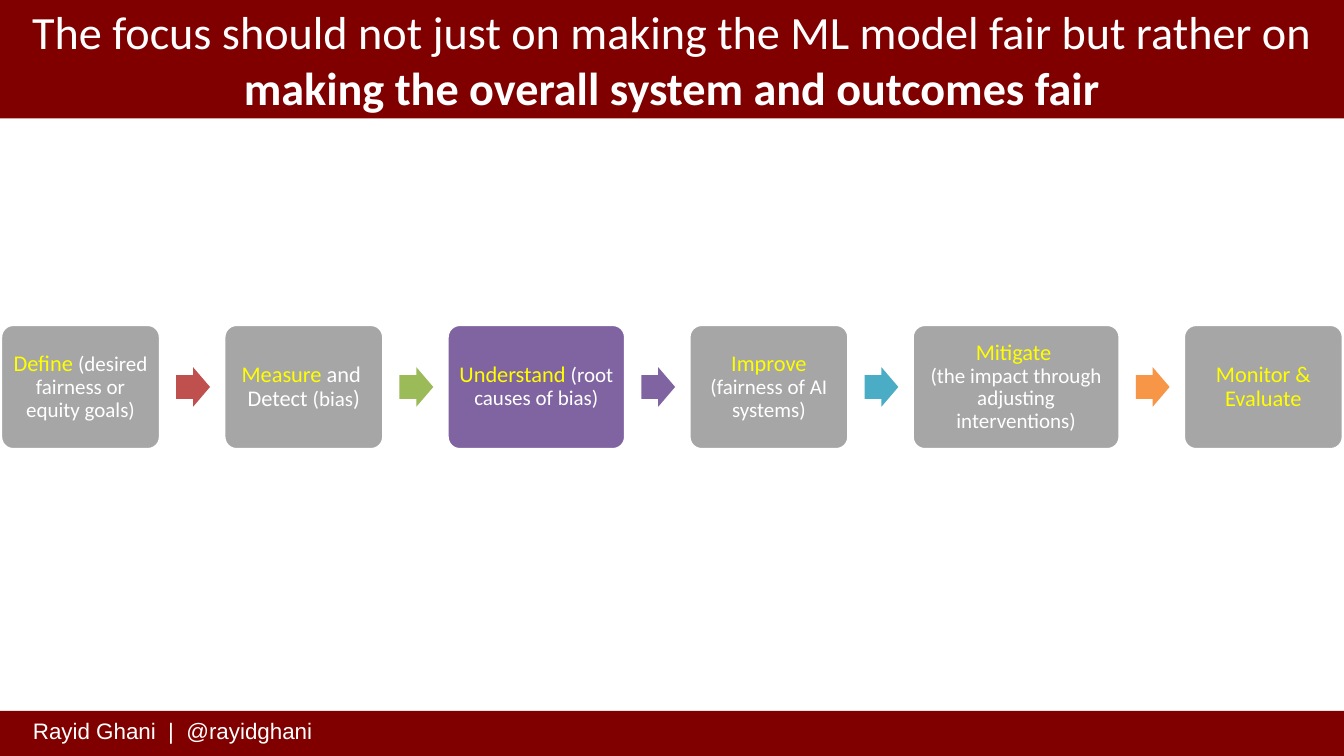
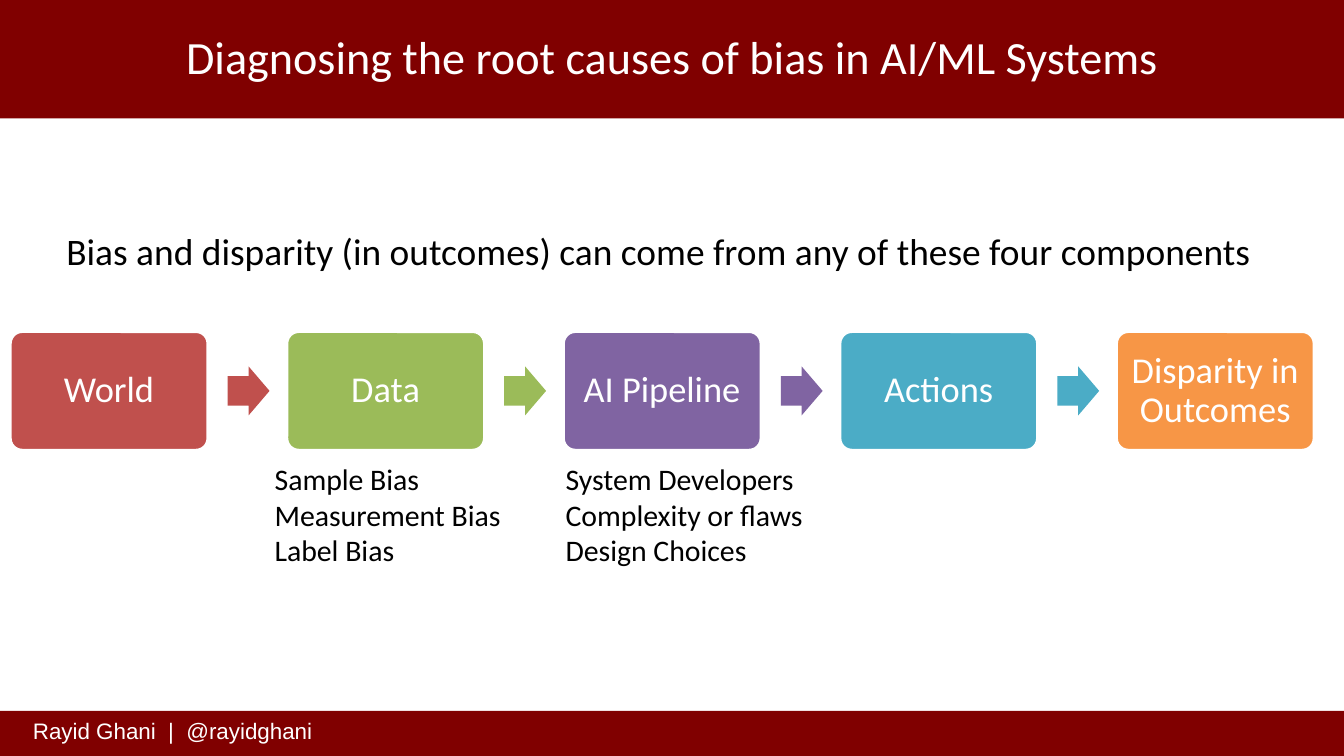
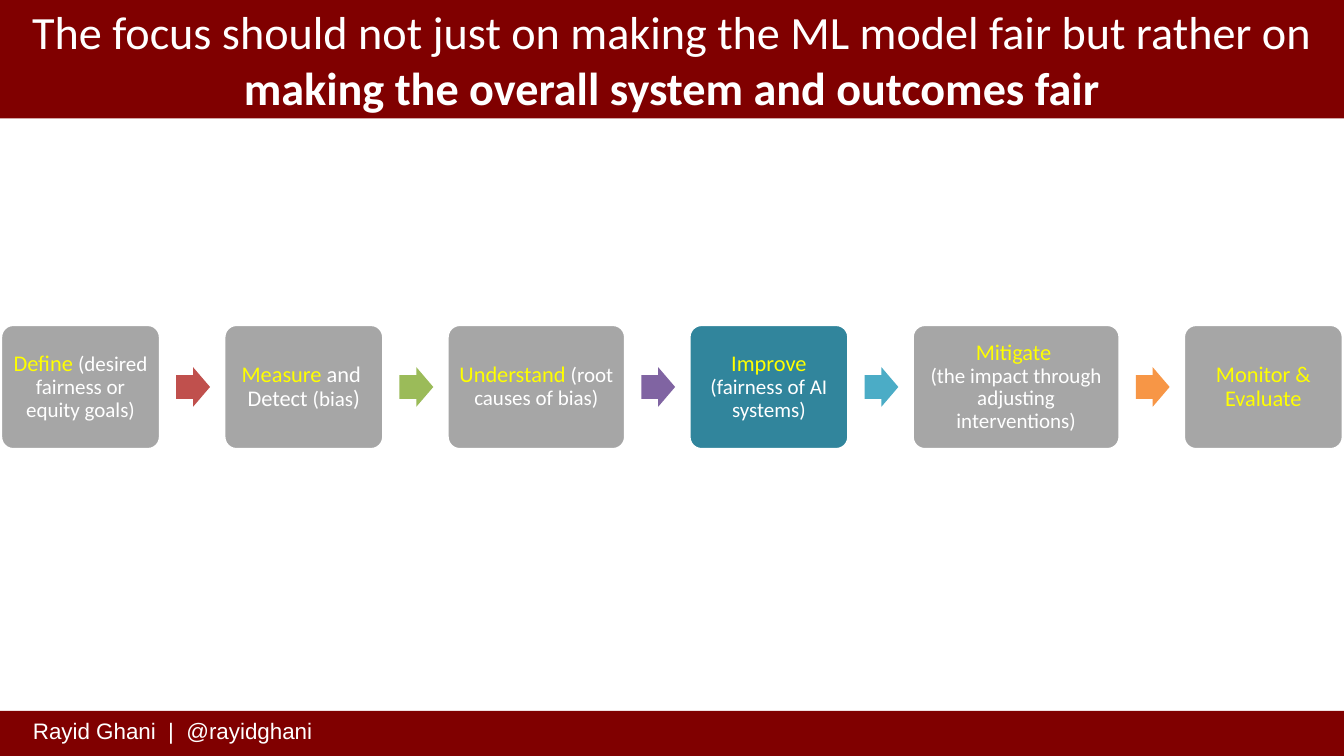
"""Build three slides on fairness in machine learning systems."""
from pptx import Presentation
from pptx.dml.color import RGBColor
from pptx.enum.shapes import MSO_SHAPE
from pptx.enum.text import MSO_ANCHOR, PP_ALIGN
from pptx.util import Pt

RECT, ROUNDED, ARROW = MSO_SHAPE.RECTANGLE, MSO_SHAPE.ROUNDED_RECTANGLE, MSO_SHAPE.RIGHT_ARROW
TOP, MIDDLE = MSO_ANCHOR.TOP, MSO_ANCHOR.MIDDLE
LEFT, CENTER = PP_ALIGN.LEFT, PP_ALIGN.CENTER

COLORS = {
    "maroon": "800000", "white": "FFFFFF", "black": "000000", "gray": "A6A6A6",
    "yellow": "FFFF00", "red": "C0504D", "green": "9BBB59", "purple": "8064A2",
    "aqua": "4BACC6", "orange": "F79646", "teal": "31859C",
}
SLIDE_WIDTH, SLIDE_HEIGHT = 960, 540
TITLE_HEIGHT, FOOTER_TOP = 84.5, 507.8
ACCENTS = ["red", "green", "purple", "aqua", "orange"]


def add_panel(slide, preset, x, y, width, height, fill, outline=None):
    panel = slide.shapes.add_shape(preset, Pt(x), Pt(y), Pt(width), Pt(height))
    panel.shadow.inherit = False
    panel.fill.solid()
    panel.fill.fore_color.rgb = RGBColor.from_string(COLORS[fill])
    if outline:
        panel.line.color.rgb = RGBColor.from_string(COLORS[outline])
        panel.line.width = Pt(2)
    else:
        panel.line.fill.background()
    return panel


def write(shape, paragraphs, size=16, font="Calibri", color="white", align=CENTER,
          anchor=MIDDLE, inset=None, spacing=1.0):
    frame = shape.text_frame
    frame.word_wrap = True
    frame.vertical_anchor = anchor
    if inset is not None:
        frame.margin_left = frame.margin_right = Pt(inset)
        frame.margin_top = frame.margin_bottom = Pt(inset)
    for index, runs in enumerate(paragraphs):
        paragraph = frame.add_paragraph() if index else frame.paragraphs[0]
        paragraph.alignment = align
        paragraph.line_spacing = spacing
        for text, style in runs:
            for line_index, line in enumerate(text.split("\n")):
                if line_index:
                    paragraph.add_line_break()
                if not line:
                    continue
                run = paragraph.add_run()
                run.text = line
                run.font.name = font
                run.font.size = Pt(style.get("size", size))
                run.font.bold = style.get("bold", False)
                run.font.color.rgb = RGBColor.from_string(COLORS[style.get("color", color)])


key, detail = {"color": "yellow"}, {"size": 15}
focus_title = [
    ("The focus should not just on making the ML model fair but rather on ", {}),
    ("making the overall system and outcomes fair", {"bold": True}),
]
fairness_steps = [
    (113.9, [("Define ", key), ("(desired fairness or equity goals)", detail)]),
    (113.9, [("Measure", key), (" and \nDetect ", {}), ("(bias", detail), (")", {})]),
    (127.2, [("Understand ", key), ("(root causes of bias)", detail)]),
    (113.9, [("Improve ", key), ("(fairness of AI systems)", detail)]),
    (148.2, [("Mitigate \n", key), ("(the impact through adjusting interventions)", detail)]),
    (113.9, [("Monitor & Evaluate", key)]),
]
bias_sources = [
    (141.1, [(name, {})])
    for name in ["World", "Data", "AI Pipeline", "Actions", "Disparity in Outcomes"]
]
fairness_chain = {"steps": fairness_steps, "left": 0.6, "top": 231.9, "height": 89.1, "size": 16}
bias_chain = {"steps": bias_sources, "left": 7.4, "top": 236.9, "height": 84.7, "size": 26}

bias_notes = [
    (397, 325.5, 213, 85, 21.3, ["System Developers", "Complexity or flaws", "Design Choices"]),
    (189.1, 325.5, 223, 85, 21.3, ["Sample Bias", "Measurement Bias", "Label Bias"]),
    (40.3, 159.2, 878.4, 39.3, 26.7,
     ["Bias and disparity (in outcomes) can come from any of these four components"]),
]
diagnosis_title = [("Diagnosing the root causes of bias in AI/ML Systems", {})]
slides = [
    (focus_title, 1.0, fairness_chain,
     ["gray", "gray", "purple", "gray", "gray", "gray"], []),
    (diagnosis_title, 0.9, bias_chain, ACCENTS, bias_notes),
    (focus_title, 1.0, fairness_chain,
     ["gray", "gray", "gray", "teal", "gray", "gray"], []),
]

deck = Presentation()
deck.slide_width, deck.slide_height = Pt(SLIDE_WIDTH), Pt(SLIDE_HEIGHT)

for title, title_spacing, chain, fills, notes in slides:
    slide = deck.slides.add_slide(deck.slide_layouts[6])

    add_panel(slide, RECT, 0, FOOTER_TOP, SLIDE_WIDTH, SLIDE_HEIGHT - FOOTER_TOP, "maroon")
    author = slide.shapes.add_textbox(Pt(16.5), Pt(508.5), Pt(219), Pt(26.6))
    write(author, [[("Rayid Ghani  |  @rayidghani", {})]], font="Arial", align=LEFT, anchor=TOP)

    steps, top, height, size = chain["steps"], chain["top"], chain["height"], chain["size"]
    unit = steps[0][0]
    arrow_width, arrow_height = 0.212 * unit, 0.248 * unit
    x = chain["left"]
    for index, ((width, label), fill) in enumerate(zip(steps, fills)):
        step = add_panel(slide, ROUNDED, x, top, width, height, fill, outline="white")
        step.adjustments[0] = 0.1
        write(step, [label], size=size, inset=0.3 * size, spacing=0.9)
        x += width
        if index < len(steps) - 1:
            arrow = add_panel(slide, ARROW, x + 0.1 * unit, top + (height - arrow_height) / 2,
                              arrow_width, arrow_height, ACCENTS[index])
            arrow.adjustments[0], arrow.adjustments[1] = 0.6, 0.5
        x += 0.4 * unit

    heading = add_panel(slide, RECT, 0, 0, SLIDE_WIDTH, TITLE_HEIGHT, "maroon")
    write(heading, [title], size=33, spacing=title_spacing)

    for left, note_top, width, note_height, note_size, lines in notes:
        note = slide.shapes.add_textbox(Pt(left), Pt(note_top), Pt(width), Pt(note_height))
        write(note, [[(line, {})] for line in lines], size=note_size, color="black",
              align=LEFT, anchor=TOP)

deck.save("out.pptx")
